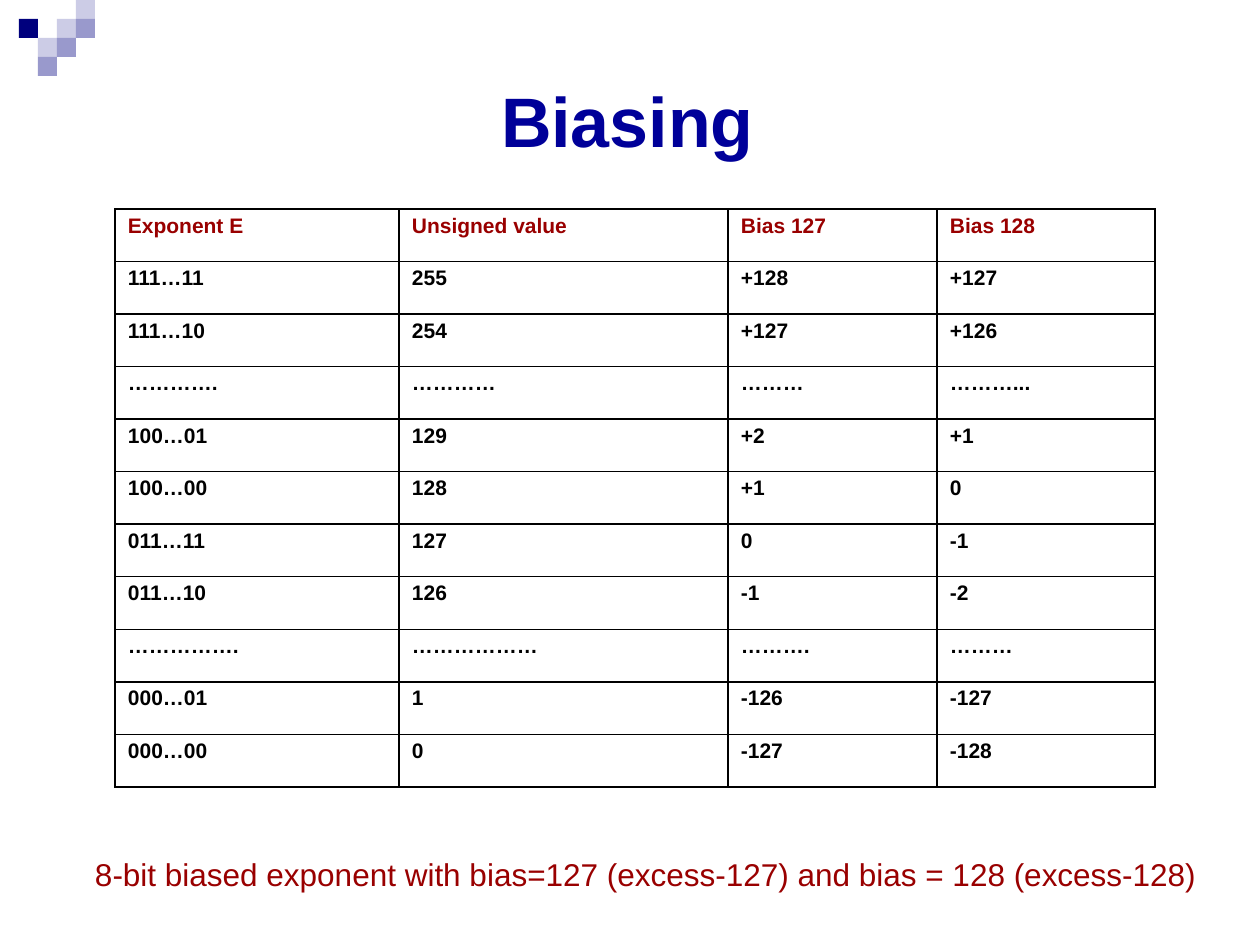
"""Build the slide on biased exponents: a title, a table of values and a caption."""
import pptx
import pptx.dml.color
import pptx.enum.shapes
import pptx.enum.text
import pptx.oxml
import pptx.oxml.ns
import pptx.util

RGBColor = pptx.dml.color.RGBColor
NAVY = RGBColor(0x00, 0x00, 0x7D)
BLUE = RGBColor(0x00, 0x00, 0x99)
LAVENDER = RGBColor(0xCC, 0xCC, 0xE6)
PERIWINKLE = RGBColor(0x99, 0x99, 0xCC)
RED = RGBColor(0x99, 0x00, 0x00)
BLACK = RGBColor(0x00, 0x00, 0x00)

TITLE = "Biasing"
CAPTION = "8-bit biased exponent with bias=127 (excess-127) and bias = 128 (excess-128)"
ROWS = [
    ("Exponent E", "Unsigned value", "Bias 127", "Bias 128"),
    ("111…11", "255", "+128", "+127"),
    ("111…10", "254", "+127", "+126"),
    ("………….", "…………", "………", "………..."),
    ("100…01", "129", "+2", "+1"),
    ("100…00", "128", "+1", "0"),
    ("011…11", "127", "0", "-1"),
    ("011…10", "126", "-1", "-2"),
    ("…………….", "………………", "……….", "………"),
    ("000…01", "1", "-126", "-127"),
    ("000…00", "0", "-127", "-128"),
]
SQUARES = [
    (2, 1, LAVENDER), (3, 0, LAVENDER), (3, 1, PERIWINKLE), (1, 2, LAVENDER),
    (0, 1, NAVY), (2, 2, PERIWINKLE), (1, 3, PERIWINKLE),
]
SQUARE_SIZE = 19
COLUMN_WIDTHS = (284, 329, 209, 218)
TABLE_LEFT, TABLE_TOP, TABLE_HEIGHT = 115, 209, 578
TITLE_BOX = (501, 76, 256, 87)
CAPTION_BOX = (95, 854, 1104, 42)

TITLE_FONT = {"name": "Arial", "size": pptx.util.Pt(40), "bold": True}
CELL_FONT = {"name": "Arial", "size": pptx.util.Pt(12), "bold": True}
CAPTION_FONT = {"name": "Arial", "size": pptx.util.Pt(18), "bold": False}
FRAME_FORMAT = {
    "margin_left": 0, "margin_right": 0, "margin_bottom": 0,
    "margin_top": pptx.util.Inches(0.01),
    "vertical_anchor": pptx.enum.text.MSO_ANCHOR.TOP,
    "auto_size": pptx.enum.text.MSO_AUTO_SIZE.NONE,
    "word_wrap": False,
}


def px(length):
    return pptx.util.Emu(round(length * 914400 / 126))


def set_attributes(target, values):
    for name, value in values.items():
        setattr(target, name, value)


def write_text(text_frame, text, font, color):
    paragraph = text_frame.paragraphs[0]
    paragraph.alignment = pptx.enum.text.PP_ALIGN.LEFT
    run = paragraph.add_run()
    run.text = text
    set_attributes(run.font, font)
    run.font.color.rgb = color


def fill_text_box(shape, box, text, font, color):
    set_attributes(shape, dict(zip(("left", "top", "width", "height"), map(px, box))))
    set_attributes(shape.text_frame, FRAME_FORMAT)
    write_text(shape.text_frame, text, font, color)


def add_squares(slide):
    for column, row, color in SQUARES:
        square = slide.shapes.add_shape(
            pptx.enum.shapes.MSO_SHAPE.RECTANGLE,
            px(SQUARE_SIZE * (column + 1)), px(SQUARE_SIZE * row),
            px(SQUARE_SIZE), px(SQUARE_SIZE))
        square.shadow.inherit = False
        square.fill.solid()
        square.fill.fore_color.rgb = color
        square.line.fill.background()


def add_borders(cell):
    properties = cell._tc.get_or_add_tcPr()
    for side in ("L", "R", "T", "B"):
        properties.append(pptx.oxml.parse_xml(
            f'<a:ln{side} {pptx.oxml.ns.nsdecls("a")} w="{pptx.util.Pt(1)}">'
            f'<a:solidFill><a:srgbClr val="{BLACK}"/></a:solidFill></a:ln{side}>'))


def add_value_table(slide):
    table = slide.shapes.add_table(
        len(ROWS), len(COLUMN_WIDTHS), px(TABLE_LEFT), px(TABLE_TOP),
        px(sum(COLUMN_WIDTHS)), px(TABLE_HEIGHT)).table
    set_attributes(table, {"first_row": False, "horz_banding": False})
    for column, width in zip(table.columns, COLUMN_WIDTHS):
        column.width = px(width)
    for row_index, values in enumerate(ROWS):
        table.rows[row_index].height = px(TABLE_HEIGHT / len(ROWS))
        for column_index, value in enumerate(values):
            cell = table.cell(row_index, column_index)
            set_attributes(cell, {"margin_left": px(13), "margin_right": 0,
                                  "margin_top": px(5), "margin_bottom": 0})
            write_text(cell.text_frame, value, CELL_FONT, BLACK if row_index else RED)
            add_borders(cell)
            cell.fill.background()


def main():
    presentation = pptx.Presentation()
    set_attributes(presentation, {"slide_width": px(1260), "slide_height": px(945)})
    slide = presentation.slides.add_slide(presentation.slide_layouts[5])
    add_squares(slide)
    fill_text_box(slide.shapes.title, TITLE_BOX, TITLE, TITLE_FONT, BLUE)
    add_value_table(slide)
    caption = slide.shapes.add_textbox(*map(px, CAPTION_BOX))
    fill_text_box(caption, CAPTION_BOX, CAPTION, CAPTION_FONT, RED)
    presentation.save("out.pptx")


if __name__ == "__main__":
    main()
